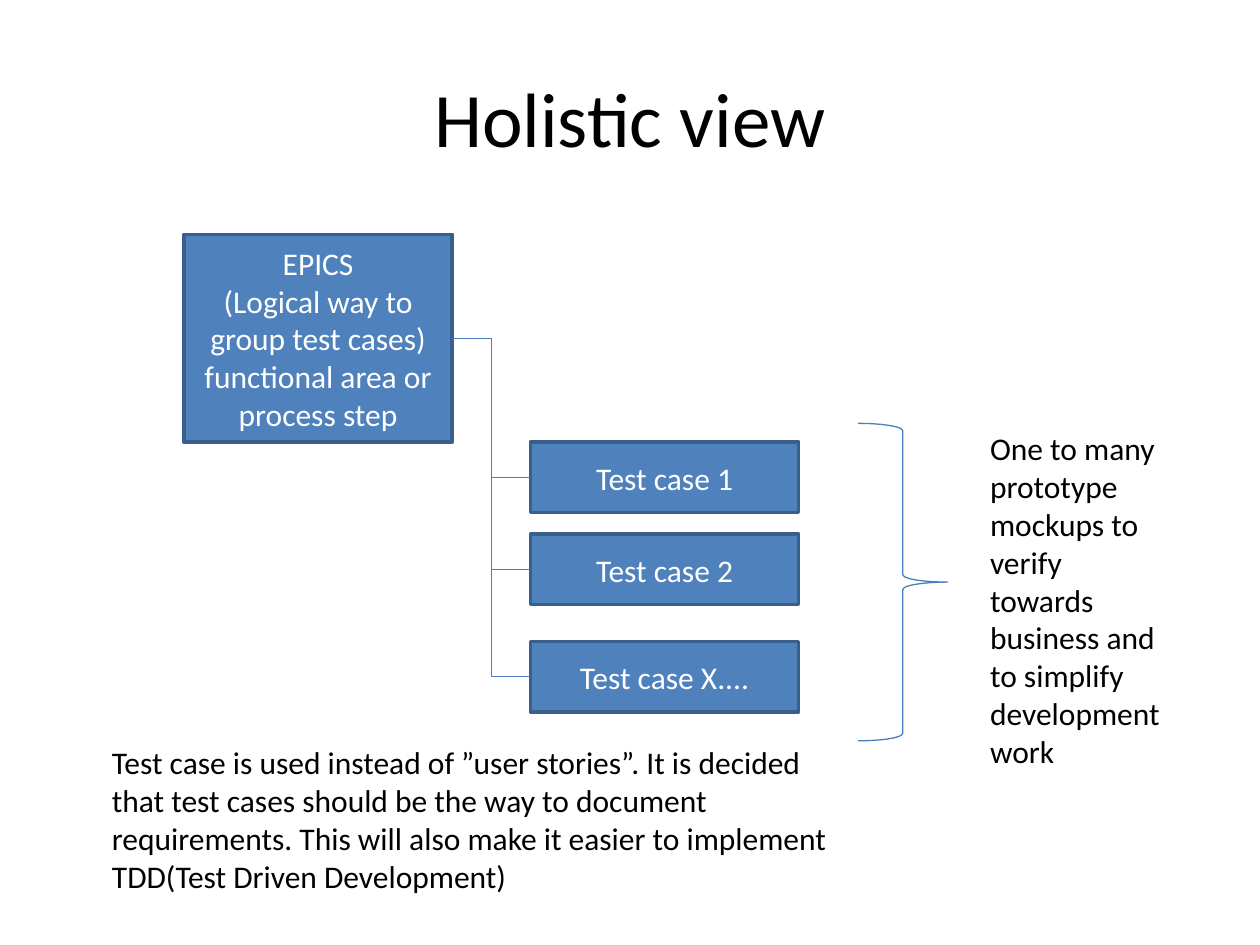
from dataclasses import dataclass

from lxml import etree
from pptx import Presentation, util as u
from pptx.dml.color import RGBColor
from pptx.enum import shapes, text
from pptx.oxml import ns


@dataclass(frozen=True)
class Theme:
    """Colours, type sizes and line widths of the slide."""
    font: str = "Calibri"
    ink: str = "000000"
    paper: str = "FFFFFF"
    box: str = "4F81BD"
    border: str = "3A5F8C"
    link: str = "4B7EBC"
    title_size: int = 44
    body_size: int = 18
    border_width: float = 2
    link_width: float = 0.75


THEME = Theme()
WIDTH, HEIGHT = u.Inches(10), u.Inches(7.5)
COLUMNS, ROWS = 100, 75
CASE_COLUMN, CASE_WIDTH, CASE_HEIGHT = 42.1, 21.3, 5.6
CASES = {"Test case 1": 35.1, "Test case 2": 42.4, "Test case X....": 50.9}
EPIC = "EPICS\n(Logical way to group test cases) functional area or process step"
MOCKUPS = ("One to many prototype mockups to verify towards business "
           "and to simplify development work")
RATIONALE = ("Test case is used instead of ”user stories”. It is decided that test cases "
             "should be the way to document requirements. This will also make it easier "
             "to implement TDD(Test Driven Development)")


def area(column, row, columns, rows):
    """Turn grid cells into left, top, width and height."""
    return (int(WIDTH * column / COLUMNS), int(HEIGHT * row / ROWS),
            int(WIDTH * columns / COLUMNS), int(HEIGHT * rows / ROWS))


def apply(target, formats):
    """Set each format value on the target."""
    for name, value in formats.items():
        setattr(target, name, value)


def write(frame, wording, size, colour, align, anchor):
    """Fill a text frame, one paragraph for each line of wording."""
    frame.text = wording
    apply(frame, {"word_wrap": True, "vertical_anchor": anchor})
    for paragraph in frame.paragraphs:
        paragraph.alignment = align
        apply(paragraph.font, {"name": THEME.font, "size": u.Pt(size)})
        paragraph.font.color.rgb = RGBColor.from_string(colour)


def outline(item, colour, width):
    """Give a shape or connector its line."""
    item.line.color.rgb = RGBColor.from_string(colour)
    item.line.width = u.Pt(width)


def add_title(slide, wording, place):
    """Place and format the title placeholder."""
    title = slide.shapes.title
    apply(title, dict(zip(("left", "top", "width", "height"), place)))
    write(title.text_frame, wording, THEME.title_size, THEME.ink,
          text.PP_ALIGN.CENTER, text.MSO_ANCHOR.MIDDLE)


def add_box(slide, wording, place):
    """Add a filled rectangle with centred wording."""
    box = slide.shapes.add_shape(shapes.MSO_SHAPE.RECTANGLE, *place)
    box.shadow.inherit = False
    box.fill.solid()
    box.fill.fore_color.rgb = RGBColor.from_string(THEME.box)
    outline(box, THEME.border, THEME.border_width)
    write(box.text_frame, wording, THEME.body_size, THEME.paper,
          text.PP_ALIGN.CENTER, text.MSO_ANCHOR.MIDDLE)
    return box


def add_link(slide, parent, child):
    """Join the right side of the parent to the left side of the child."""
    link = slide.shapes.add_connector(shapes.MSO_CONNECTOR.ELBOW, 0, 0, 0, 0)
    link.begin_connect(parent, 3)
    link.end_connect(child, 1)
    outline(link, THEME.link, THEME.link_width)
    etree.SubElement(link._element.spPr, ns.qn("a:effectLst"))


def add_brace(slide, place):
    """Add an unfilled right brace."""
    brace = slide.shapes.add_shape(shapes.MSO_SHAPE.RIGHT_BRACE, *place)
    brace.shadow.inherit = False
    brace.fill.background()
    outline(brace, THEME.link, THEME.link_width)


def add_note(slide, wording, place):
    """Add a plain wrapped text box."""
    note = slide.shapes.add_textbox(*place)
    write(note.text_frame, wording, THEME.body_size, THEME.ink,
          text.PP_ALIGN.LEFT, text.MSO_ANCHOR.TOP)
    note.text_frame.auto_size = text.MSO_AUTO_SIZE.SHAPE_TO_FIT_TEXT


def main():
    """Build the slide and save it."""
    deck = Presentation()
    apply(deck, {"slide_width": WIDTH, "slide_height": HEIGHT})
    slide = deck.slides.add_slide(deck.slide_layouts.get_by_name("Title Only"))
    add_title(slide, "Holistic view", area(5, 3, 90, 12.5))
    epic = add_box(slide, EPIC, area(14.6, 18.6, CASE_WIDTH, 16.5))
    for name, row in CASES.items():
        case = add_box(slide, name, area(CASE_COLUMN, row, CASE_WIDTH, CASE_HEIGHT))
        add_link(slide, epic, case)
    add_brace(slide, area(68.1, 33.6, 7.1, 25.2))
    add_note(slide, MOCKUPS, area(77.6, 33.6, 15.7, 28.3))
    add_note(slide, RATIONALE, area(7.9, 58.5, 60.3, 13.1))
    deck.save("out.pptx")


if __name__ == "__main__":
    main()
